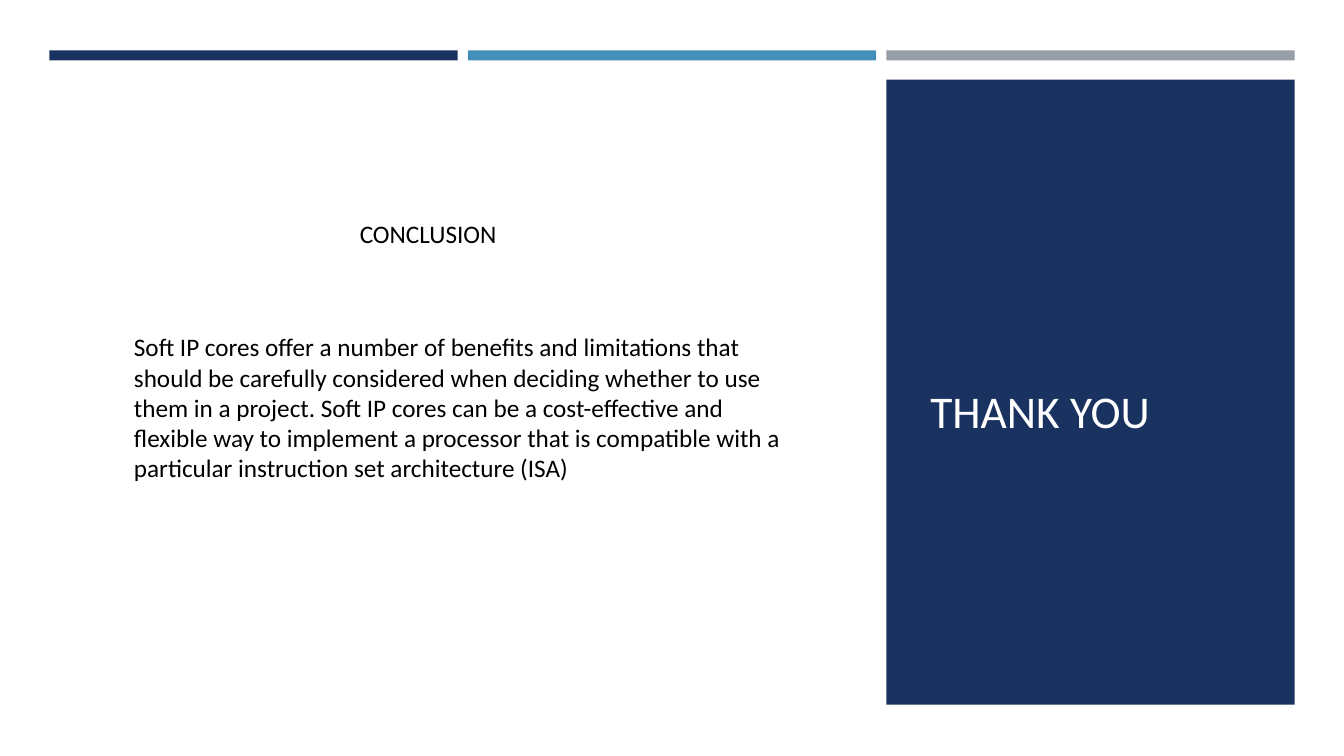
from dataclasses import dataclass

from pptx import Presentation
from pptx.dml.color import RGBColor
from pptx.enum.shapes import MSO_SHAPE
from pptx.enum.text import MSO_ANCHOR
from pptx.slide import Slide
from pptx.util import Inches, Pt

RECTANGLE = MSO_SHAPE.RECTANGLE
TOP, BOTTOM = MSO_ANCHOR.TOP, MSO_ANCHOR.BOTTOM

SLIDE_WIDTH, SLIDE_HEIGHT = 13.33, 7.5
FONT = "Calibri"
NAVY, BLUE, GREY = "1A3260", "4590B8", "969FA7"
WHITE, BLACK = "FFFFFF", "000000"

# Three-column grid, in inches
MARGIN, COLUMN_WIDTH, GUTTER = 0.49, 4.05, 0.1
BAR_TOP, BAR_HEIGHT = 0.5, 0.1
PANEL_TOP, PANEL_HEIGHT = 0.79, 6.2


@dataclass(frozen=True)
class Block:
    left: float
    top: float
    width: float
    height: float
    color: str


@dataclass(frozen=True)
class Caption:
    text: str
    left: float
    top: float
    width: float
    height: float
    size: float = 18
    color: str = BLACK
    anchor: MSO_ANCHOR = TOP


def column_left(column: int) -> float:
    return MARGIN + column * (COLUMN_WIDTH + GUTTER)


def rgb(color: str) -> RGBColor:
    return RGBColor.from_string(color)


def draw_block(slide: Slide, block: Block) -> None:
    rectangle = slide.shapes.add_shape(
        RECTANGLE, Inches(block.left), Inches(block.top),
        Inches(block.width), Inches(block.height))
    rectangle.shadow.inherit = False
    rectangle.fill.solid()
    rectangle.fill.fore_color.rgb = rgb(block.color)
    rectangle.line.fill.background()


def draw_caption(slide: Slide, caption: Caption) -> None:
    frame = slide.shapes.add_textbox(
        Inches(caption.left), Inches(caption.top),
        Inches(caption.width), Inches(caption.height)).text_frame
    frame.word_wrap = True
    frame.vertical_anchor = caption.anchor
    frame.text = caption.text
    font = frame.paragraphs[0].runs[0].font
    font.name = FONT
    font.size = Pt(caption.size)
    font.color.rgb = rgb(caption.color)


BACKDROP = Block(0, 0, SLIDE_WIDTH, SLIDE_HEIGHT, WHITE)
THANKS_PANEL = Block(column_left(2), PANEL_TOP, COLUMN_WIDTH, PANEL_HEIGHT, NAVY)
HEADER_BARS = [
    Block(column_left(column), BAR_TOP, COLUMN_WIDTH, BAR_HEIGHT, color)
    for column, color in enumerate((NAVY, BLUE, GREY))
]
CAPTIONS = [
    Caption("THANK YOU", 9.13, 3.71, 3.37, 0.68, 32.4, WHITE, BOTTOM),
    Caption(
        "Soft IP cores offer a number of benefits and limitations that should "
        "be carefully considered when deciding whether to use them in a "
        "project. Soft IP cores can be a cost-effective and flexible way to "
        "implement a processor that is compatible with a particular "
        "instruction set architecture (ISA)",
        1.23, 3.24, 6.61, 1.62),
    Caption("CONCLUSION", 3.47, 2.12, 1.86, 0.4),
]


def main() -> None:
    presentation = Presentation()
    presentation.slide_width = Inches(SLIDE_WIDTH)
    presentation.slide_height = Inches(SLIDE_HEIGHT)
    slide = presentation.slides.add_slide(presentation.slide_layouts[6])

    # Backdrop, panel and header bars
    for block in (BACKDROP, THANKS_PANEL, *HEADER_BARS):
        draw_block(slide, block)

    # Closing title and conclusion
    for caption in CAPTIONS:
        draw_caption(slide, caption)

    presentation.save("out.pptx")


if __name__ == "__main__":
    main()
